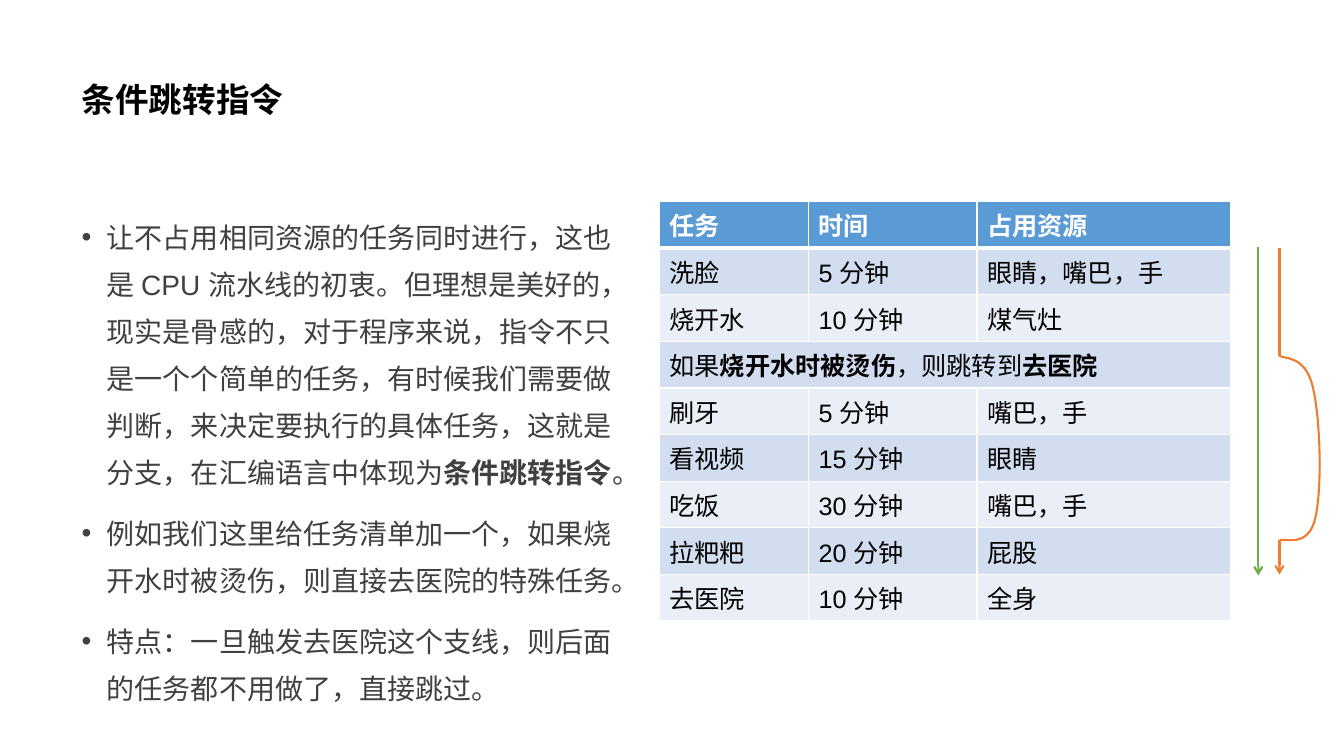
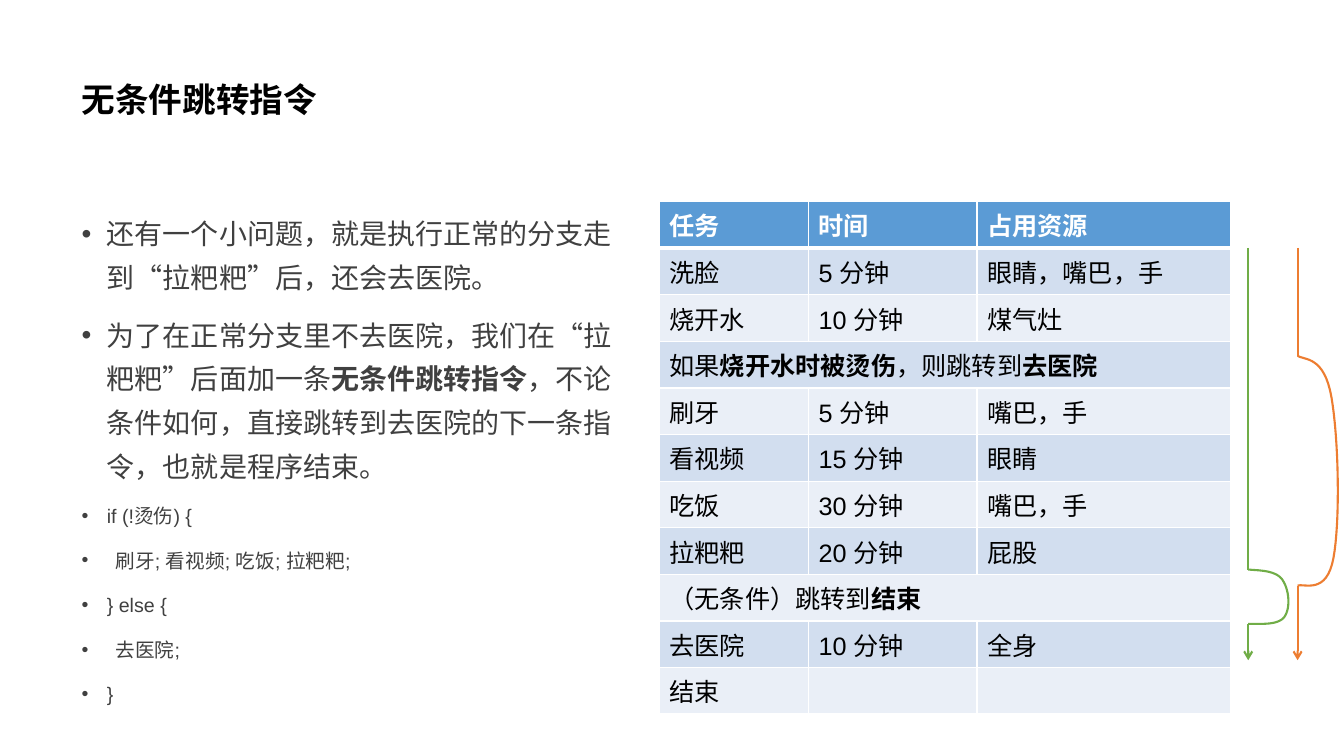
from lxml import etree
from pptx import Presentation
from pptx import util as u
from pptx.dml import color as dml
from pptx.enum import shapes, text
from pptx.oxml import ns

PX = 9144  # one px is a hundredth of an inch

COLORS = {
    "title": "000000", "body": "404040", "cell": "000000", "white": "FFFFFF",
    "header": "5B9BD5", "band_dark": "D2DEEF", "band_light": "EAEFF7",
    "normal": "70AD47", "jump": "ED7D31",
}
TITLE_FONT = {"name": "Montserrat", "size": u.Pt(24), "bold": True}
BODY_FONT = {"name": "Arial", "size": u.Pt(20), "bold": False}
CODE_FONT = {**BODY_FONT, "size": u.Pt(14)}
CELL_FONT = {**BODY_FONT, "size": u.Pt(18)}
HEADER_FONT = {**CELL_FONT, "bold": True}

TITLE_BOX = (71, 28, 1150, 145)
BODY_BOX = (71, 200, 567, 522)
TABLE_BOX = (654, 200)
COLUMN_WIDTHS = (148, 167, 252)
ROW_HEIGHT = 46
BULLET_INDENT = 25

# Bulge of a jump, as fractions of its width and height: start, then Bezier triples
BULGE_WIDTH = 40
BULGE = [(0, 0),
         (0.18, 0.02), (0.66, 0), (0.84, 0.18),
         (1.02, 0.36), (1.06, 0.72), (0.89, 0.88),
         (0.72, 1.04), (0.18, 0.99), (0, 1)]
CURVE_STEPS = 16

HEADER = ("任务", "时间", "占用资源")
TASKS_BEFORE_HOSPITAL = [
    ("洗脸", "5 分钟", "眼睛，嘴巴，手"),
    ("烧开水", "10 分钟", "煤气灶"),
    ("如果**烧开水时被烫伤**，则跳转到**去医院**",),
    ("刷牙", "5 分钟", "嘴巴，手"),
    ("看视频", "15 分钟", "眼睛"),
    ("吃饭", "30 分钟", "嘴巴，手"),
    ("拉粑粑", "20 分钟", "屁股"),
]
HOSPITAL = ("去医院", "10 分钟", "全身")

SLIDES = [
    {
        "title": "条件跳转指令",
        "spacing": 1.4,
        "points": [
            "让不占用相同资源的任务同时进行，这也是 CPU 流水线的初衷。但理想是美好的，"
            "现实是骨感的，对于程序来说，指令不只是一个个简单的任务，有时候我们需要做判断，"
            "来决定要执行的具体任务，这就是分支，在汇编语言中体现为**条件跳转指令**。",
            "例如我们这里给任务清单加一个，如果烧开水时被烫伤，则直接去医院的特殊任务。",
            "特点：一旦触发去医院这个支线，则后面的任务都不用做了，直接跳过。",
        ],
        "code": [],
        "tasks": TASKS_BEFORE_HOSPITAL + [HOSPITAL],
        # branch, x, top, tip, start and end of its bulge
        "flows": [("normal", 1248, 245, 571, None),
                  ("jump", 1269, 246, 570, (353, 536))],
    },
    {
        "title": "无条件跳转指令",
        "spacing": 1.3,
        "points": [
            "还有一个小问题，就是执行正常的分支走到“拉粑粑”后，还会去医院。",
            "为了在正常分支里不去医院，我们在“拉粑粑”后面加一条**无条件跳转指令**，"
            "不论条件如何，直接跳转到去医院的下一条指令，也就是程序结束。",
        ],
        "code": ["if (!烫伤) {", "  刷牙; 看视频; 吃饭; 拉粑粑;",
                 "} else {", "  去医院;", "}"],
        "tasks": TASKS_BEFORE_HOSPITAL + [("（无条件）跳转到**结束**",), HOSPITAL,
                                          ("结束", "", "")],
        "flows": [("jump", 1287, 246, 655, (353, 581)),
                  ("normal", 1238, 246, 655, (565, 619))],
    },
]


def px(*lengths):
    return [u.Emu(round(length * PX)) for length in lengths]


def rgb(name):
    return dml.RGBColor.from_string(COLORS[name])


def add_xml(parent, tag, **attributes):
    return etree.SubElement(parent, ns.qn(tag), attributes)


def write(paragraph, content, font, color):
    """Write content as runs; parts between ** marks are bold."""
    for index, part in enumerate(content.split("**")):
        if not part:
            continue
        run = paragraph.add_run()
        run.text = part
        for name, value in font.items():
            setattr(run.font, name, value)
        run.font.bold = font["bold"] or index % 2 == 1
        run.font.color.rgb = rgb(color)


def place(placeholder, box, anchor):
    frame = placeholder.text_frame
    for name, value in zip(("left", "top", "width", "height"), px(*box)):
        setattr(placeholder, name, value)
    settings = {"word_wrap": True, "auto_size": text.MSO_AUTO_SIZE.NONE,
                "vertical_anchor": anchor}
    for name, value in settings.items():
        setattr(frame, name, value)
    return frame


def add_title(slide, box, title):
    heading = place(slide.shapes.title, box, text.MSO_ANCHOR.MIDDLE).paragraphs[0]
    heading.alignment = text.PP_ALIGN.LEFT
    heading.line_spacing = 0.9
    write(heading, title, TITLE_FONT, "title")


def add_body(slide, box, points, code, spacing):
    frame = place(slide.placeholders[1], box, text.MSO_ANCHOR.TOP)
    lines = [(point, BODY_FONT) for point in points] + [(line, CODE_FONT) for line in code]
    for index, (content, font) in enumerate(lines):
        point = frame.add_paragraph() if index else frame.paragraphs[0]
        properties = point._p.get_or_add_pPr()
        indent = px(BULLET_INDENT)[0]
        properties.set("marL", str(indent))
        properties.set("indent", str(-indent))
        add_xml(properties, "a:buFont", typeface="Arial")
        add_xml(properties, "a:buChar", char="•")
        point.alignment = text.PP_ALIGN.LEFT
        point.line_spacing = spacing
        point.space_before = u.Pt(10 if index else 0)
        write(point, content, font, "body")


def set_borders(cell, row):
    """White rules of 1 pt, with 3 pt between the header and the first task."""
    thick = {0: "a:lnB", 1: "a:lnT"}.get(row)
    properties = cell._tc.get_or_add_tcPr()
    for side in ("a:lnL", "a:lnR", "a:lnT", "a:lnB"):
        rule = add_xml(properties, side, w=str(u.Pt(3 if side == thick else 1)))
        add_xml(add_xml(rule, "a:solidFill"), "a:srgbClr", val=COLORS["white"])


def add_task_table(slide, corner, tasks):
    rows = [HEADER] + tasks
    size = (sum(COLUMN_WIDTHS), ROW_HEIGHT * len(rows))
    table = slide.shapes.add_table(len(rows), len(HEADER), *px(*corner, *size)).table
    for column, width in zip(table.columns, px(*COLUMN_WIDTHS)):
        column.width = width
    for row, contents in enumerate(rows):
        table.rows[row].height = px(ROW_HEIGHT)[0]
        if len(contents) == 1:
            table.cell(row, 0).merge(table.cell(row, len(HEADER) - 1))
        if row == 0:
            fill, font, color = "header", HEADER_FONT, "white"
        else:
            fill, font, color = "band_dark" if row % 2 else "band_light", CELL_FONT, "cell"
        for column in range(len(HEADER)):
            cell = table.cell(row, column)
            set_borders(cell, row)
            cell.fill.solid()
            cell.fill.fore_color.rgb = rgb(fill)
            if column < len(contents):
                write(cell.text_frame.paragraphs[0], contents[column], font, color)


def add_stretch(slide, x, top, bottom, color, arrow):
    stretch = slide.shapes.add_connector(shapes.MSO_CONNECTOR.STRAIGHT,
                                         *px(x, top, x, bottom))
    stretch.line.color.rgb = rgb(color)
    stretch.line.width = u.Pt(1.5)
    properties = stretch._element.spPr
    if arrow:
        add_xml(properties.find(ns.qn("a:ln")), "a:tailEnd", type="arrow")
    add_xml(properties, "a:effectLst")


def bezier(p0, p1, p2, p3, t):
    s = 1 - t
    return tuple(s**3 * a + 3 * s * s * t * b + 3 * s * t * t * c + t**3 * d
                 for a, b, c, d in zip(p0, p1, p2, p3))


def add_bulge(slide, x, top, bottom, color):
    outline = [bezier(*BULGE[first:first + 4], step / CURVE_STEPS)
               for first in range(0, len(BULGE) - 1, 3)
               for step in range(1, CURVE_STEPS + 1)]
    points = [px(x + across * BULGE_WIDTH, top + down * (bottom - top))
              for across, down in outline]
    builder = slide.shapes.build_freeform(*px(x, top))
    builder.add_line_segments(points, close=False)
    bulge = builder.convert_to_shape()
    bulge.shadow.inherit = False
    bulge.fill.background()
    bulge.line.color.rgb = rgb(color)
    bulge.line.width = u.Pt(1.5)


def add_flow(slide, branch, x, top, tip, skipped):
    """Downward arrow of one branch, bulging around the tasks it skips."""
    if skipped:
        start, end = skipped
        add_stretch(slide, x, top, start, branch, arrow=False)
        add_bulge(slide, x, start, end, branch)
        top = end
    add_stretch(slide, x, top, tip, branch, arrow=True)


def add_instruction_slide(deck, content):
    slide = deck.slides.add_slide(deck.slide_layouts[1])
    add_title(slide, TITLE_BOX, content["title"])
    add_body(slide, BODY_BOX, content["points"], content["code"], content["spacing"])
    add_task_table(slide, TABLE_BOX, content["tasks"])
    for flow in content["flows"]:
        add_flow(slide, *flow)


def main():
    deck = Presentation()
    deck.slide_width, deck.slide_height = px(1333, 750)
    for content in SLIDES:
        add_instruction_slide(deck, content)
    deck.save("out.pptx")


if __name__ == "__main__":
    main()
